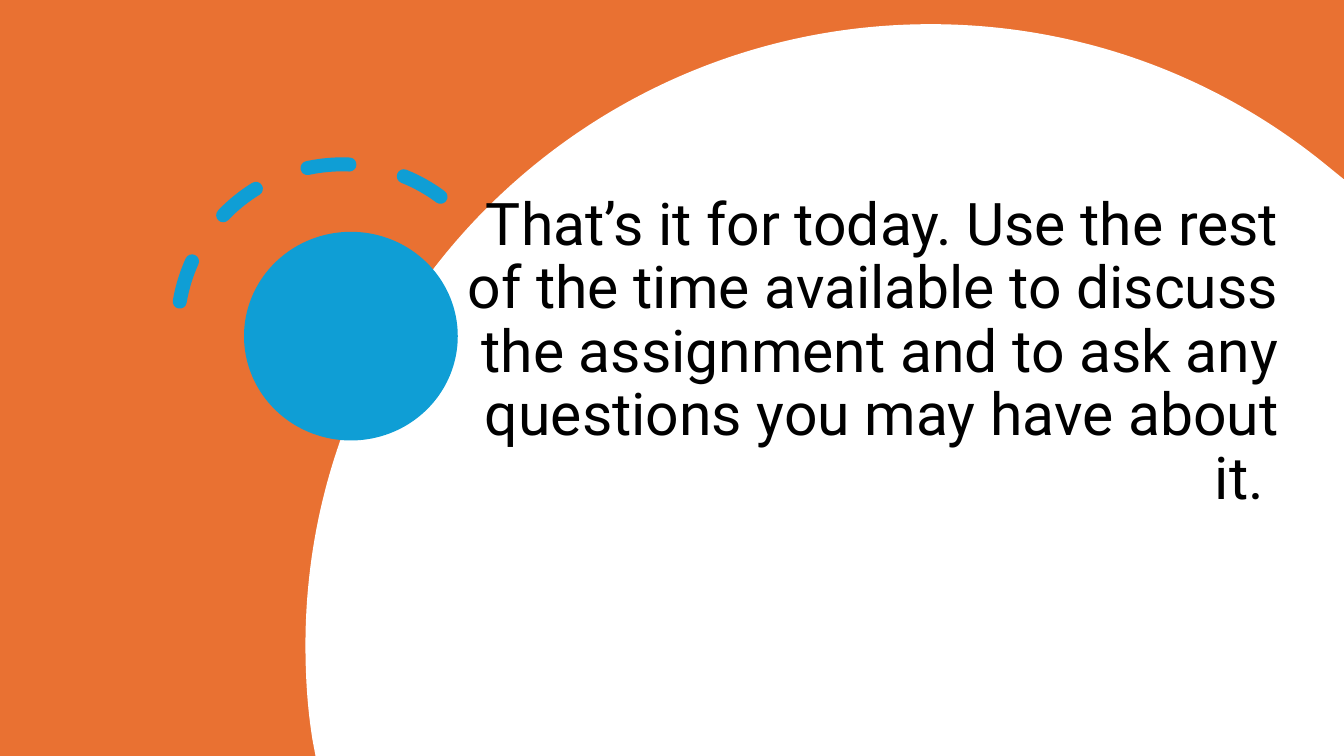
from lxml.etree import SubElement
from pptx import Presentation
from pptx.dml.color import RGBColor
from pptx.enum.dml import MSO_LINE_DASH_STYLE as DASH
from pptx.enum.shapes import MSO_SHAPE as SHAPE
from pptx.enum.text import MSO_ANCHOR, MSO_AUTO_SIZE, PP_ALIGN
from pptx.oxml.ns import qn
from pptx.util import Inches, Pt

MESSAGE = (
    "That’s it for today. Use the rest of the time available to discuss "
    "the assignment and to ask any questions you may have about it. "
)
ORANGE, BLUE, WHITE, BLACK = "E97132", "0F9ED5", "FFFFFF", "000000"
WIDTH, HEIGHT = 13.33, 7.5
DISC_START = (9.23, 0.24)
DISC_SEGMENTS = [
    [(10.73, 0.24), (12.1, 0.77), (13.17, 1.65)],
    [(WIDTH, 1.78)],
    [(WIDTH, HEIGHT)],
    [(3.13, HEIGHT)],
    [(3.1, 7.34)],
    [(3.05, 7.03), (3.03, 6.72), (3.03, 6.4)],
    [(3.03, 3), (5.81, 0.24), DISC_START],
]


def color(value):
    return RGBColor.from_string(value)


def paint(shape, fill):
    shape.shadow.inherit = False
    shape.fill.solid()
    shape.fill.fore_color.rgb = color(fill)
    shape.line.fill.background()


def add_shape(page, kind, left, top, width, height):
    return page.shapes.add_shape(
        kind, Inches(left), Inches(top), Inches(width), Inches(height)
    )


def add_clipped_disc(page):
    outline = page.shapes.build_freeform(*map(Inches, DISC_START))
    for segment in DISC_SEGMENTS:
        outline.add_line_segments([(Inches(x), Inches(y)) for x, y in segment], close=False)
    disc = outline.convert_to_shape()
    path = disc.element.find(".//" + qn("a:path"))
    lines = iter(path.findall(qn("a:lnTo")))
    for segment in DISC_SEGMENTS:
        steps = [next(lines) for _ in segment]
        if len(steps) == 3:
            curve = SubElement(path, qn("a:cubicBezTo"))
            steps[0].addprevious(curve)
            for step in steps:
                curve.append(step[0])
                path.remove(step)
    SubElement(path, qn("a:close"))
    paint(disc, WHITE)


def add_dashed_arc(page):
    arc = add_shape(page, SHAPE.ARC, 1.76, 1.63, 3.27, 3.27)
    arc.rotation = 308.7
    arc.adjustments[0] = 144.56
    arc.adjustments[1] = 2.28
    arc.shadow.inherit = False
    arc.fill.background()
    arc.line.color.rgb = color(BLUE)
    arc.line.width = Pt(10)
    arc.line.dash_style = DASH.DASH
    arc.element.find(".//" + qn("a:ln")).set("cap", "rnd")


def add_message(page):
    title = page.shapes.title
    title.element.getparent().append(title.element)
    title.left, title.top = Inches(4.42), Inches(2.12)
    title.width, title.height = Inches(8.36), Inches(3.01)
    frame = title.text_frame
    frame.text = MESSAGE
    frame.word_wrap = True
    frame.auto_size = MSO_AUTO_SIZE.NONE
    frame.vertical_anchor = MSO_ANCHOR.BOTTOM
    para = frame.paragraphs[0]
    para.alignment = PP_ALIGN.RIGHT
    para.line_spacing = 0.9
    para.font.name = "Roboto"
    para.font.size = Pt(42)
    para.font.color.rgb = color(BLACK)


def main():
    deck = Presentation()
    deck.slide_width, deck.slide_height = Inches(WIDTH), Inches(HEIGHT)
    page = deck.slides.add_slide(deck.slide_layouts[5])
    paint(add_shape(page, SHAPE.RECTANGLE, 0, 0, WIDTH, HEIGHT), ORANGE)
    add_clipped_disc(page)
    paint(add_shape(page, SHAPE.OVAL, 2.42, 2.3, 2.12, 2.07), BLUE)
    add_dashed_arc(page)
    add_message(page)
    deck.save("out.pptx")


if __name__ == "__main__":
    main()
